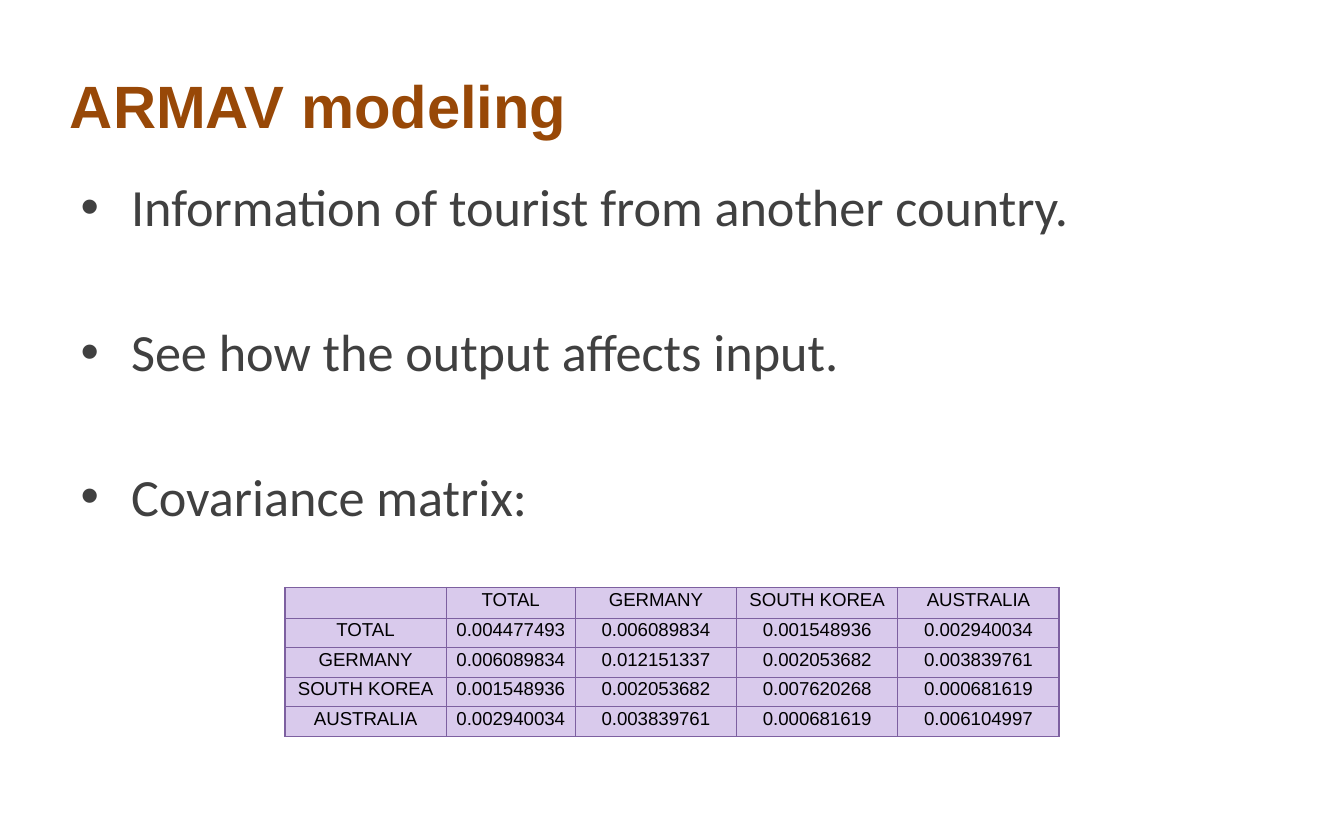
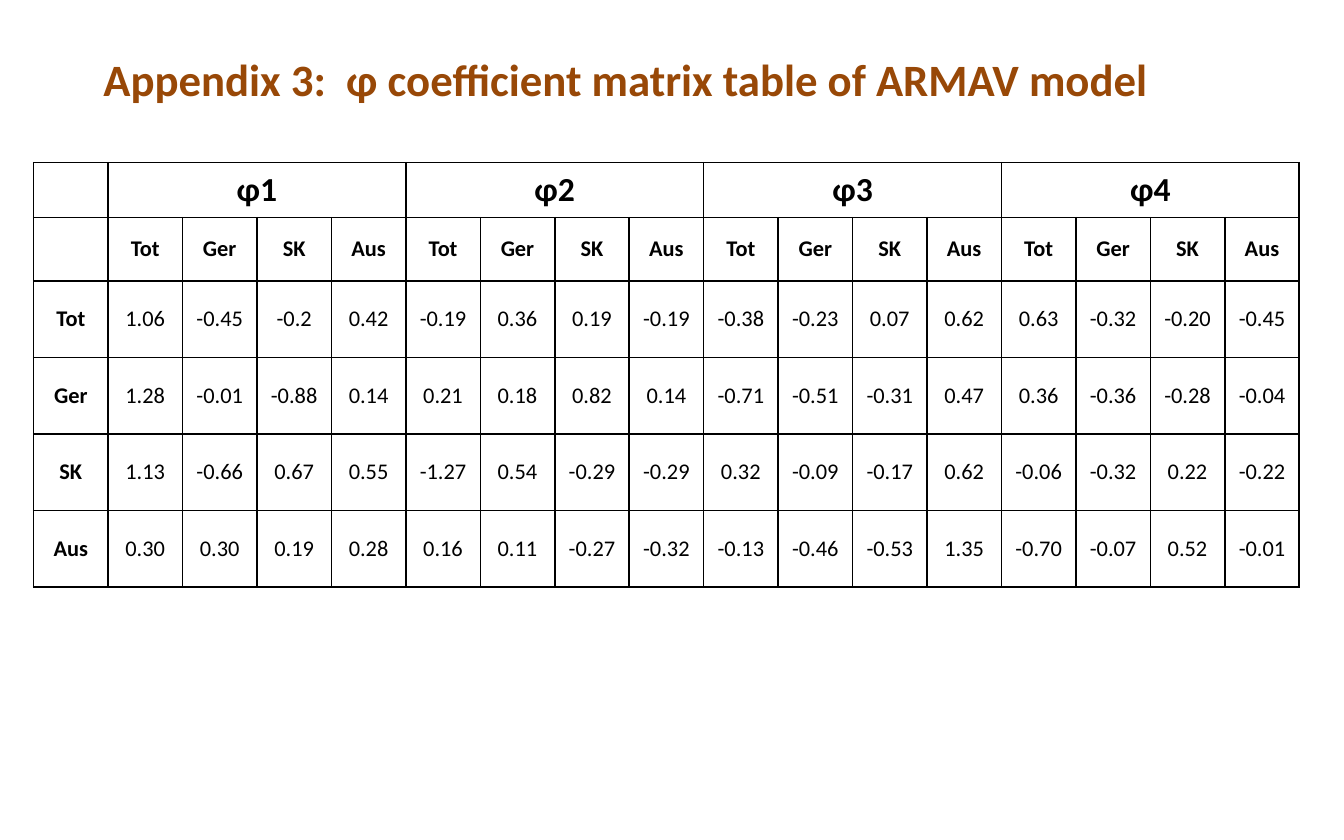
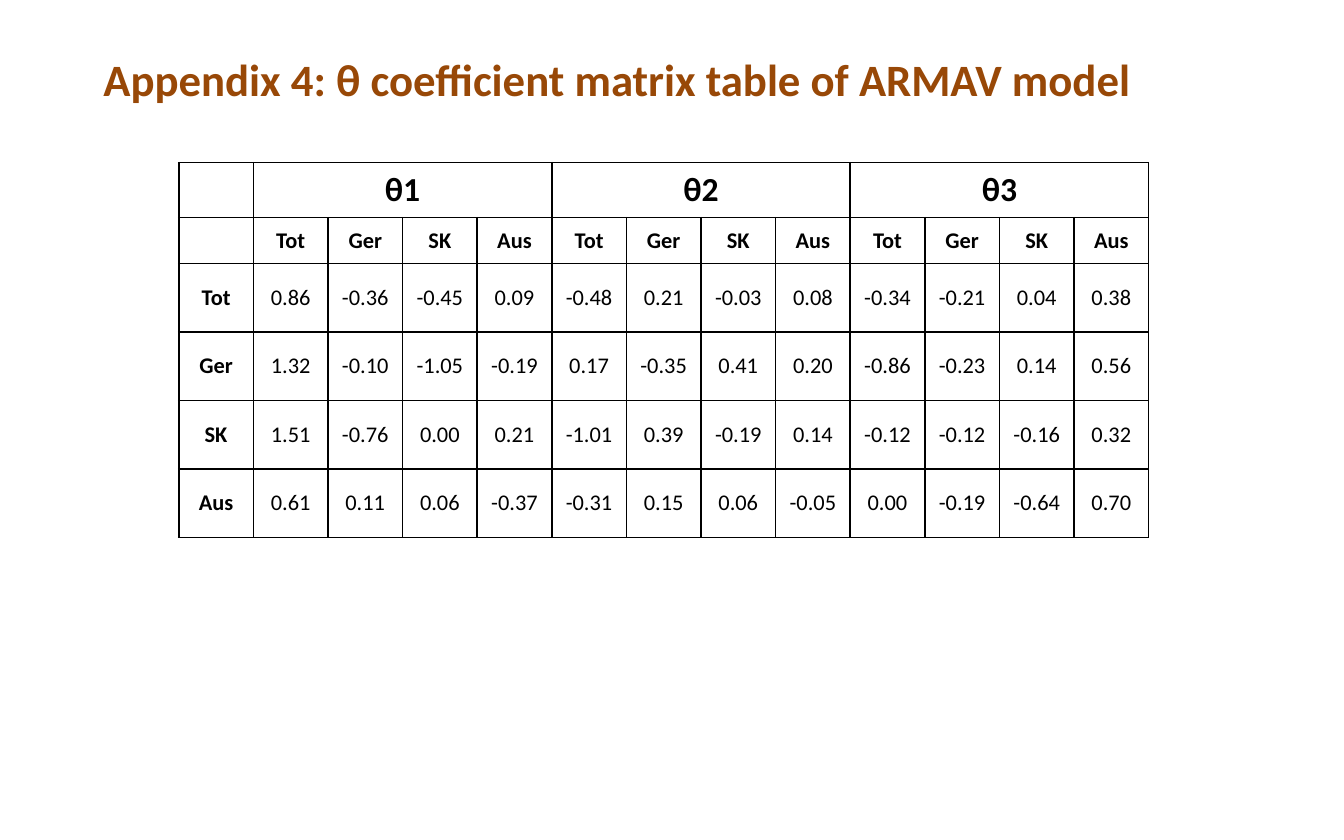
from lxml import etree
from pptx import Presentation
from pptx.dml.color import RGBColor
from pptx.enum.text import MSO_ANCHOR, MSO_AUTO_SIZE, PP_ALIGN
from pptx.oxml.ns import qn
from pptx.util import Inches, Pt

MIDDLE = MSO_ANCHOR.MIDDLE
LEFT, CENTER = PP_ALIGN.LEFT, PP_ALIGN.CENTER
NO_FIT = MSO_AUTO_SIZE.NONE

BROWN = RGBColor(0x98, 0x48, 0x07)
GRAY = RGBColor(0x40, 0x40, 0x40)
BLACK = RGBColor(0, 0, 0)
WHITE = RGBColor(0xFF, 0xFF, 0xFF)
LILAC = RGBColor(0xD9, 0xCA, 0xEC)
PURPLE = RGBColor(0x7D, 0x60, 0xA0)

WIDTH, HEIGHT = 10, 6.25
LIST, TITLE = 1, 5  # layouts of the template

# Content
POINTS = [
    "Information of tourist from another country.",
    "See how the output affects input.",
    "Covariance matrix:",
]
LANDS = ["TOTAL", "GERMANY", "SOUTH KOREA", "AUSTRALIA"]
COVAR = [
    "0.004477493 0.006089834 0.001548936 0.002940034",
    "0.006089834 0.012151337 0.002053682 0.003839761",
    "0.001548936 0.002053682 0.007620268 0.000681619",
    "0.002940034 0.003839761 0.000681619 0.006104997",
]
SHORT = ["Tot", "Ger", "SK", "Aus"]
MODELS = [
    {
        "title": "Appendix 3:  φ coefficient matrix table of ARMAV model",
        "sign": "φ", "left": 0.25, "width": 9.42,
        "rows": [0.41, 0.47] + [0.57] * 4,
        "data": [
            "1.06 -0.45 -0.2 0.42 -0.19 0.36 0.19 -0.19 "
            "-0.38 -0.23 0.07 0.62 0.63 -0.32 -0.20 -0.45",
            "1.28 -0.01 -0.88 0.14 0.21 0.18 0.82 0.14 "
            "-0.71 -0.51 -0.31 0.47 0.36 -0.36 -0.28 -0.04",
            "1.13 -0.66 0.67 0.55 -1.27 0.54 -0.29 -0.29 "
            "0.32 -0.09 -0.17 0.62 -0.06 -0.32 0.22 -0.22",
            "0.30 0.30 0.19 0.28 0.16 0.11 -0.27 -0.32 "
            "-0.13 -0.46 -0.53 1.35 -0.70 -0.07 0.52 -0.01",
        ],
    },
    {
        "title": "Appendix 4: θ coefficient matrix table of ARMAV model",
        "sign": "θ", "left": 1.33, "width": 7.22,
        "rows": [0.41, 0.34] + [0.51] * 4,
        "data": [
            "0.86 -0.36 -0.45 0.09 -0.48 0.21 -0.03 0.08 -0.34 -0.21 0.04 0.38",
            "1.32 -0.10 -1.05 -0.19 0.17 -0.35 0.41 0.20 -0.86 -0.23 0.14 0.56",
            "1.51 -0.76 0.00 0.21 -1.01 0.39 -0.19 0.14 -0.12 -0.12 -0.16 0.32",
            "0.61 0.11 0.06 -0.37 -0.31 0.15 0.06 -0.05 0.00 -0.19 -0.64 0.70",
        ],
    },
]


def place(shape, left, top, width, height):
    shape.left, shape.top = Inches(left), Inches(top)
    shape.width, shape.height = Inches(width), Inches(height)


def write(para, text, size, face, color, bold=False):
    run = para.add_run()
    run.text = text
    font = run.font
    font.size, font.name, font.bold = Pt(size), face, bold
    font.color.rgb = color


def start(deck, layout, title, box, size, face):
    """Add a slide with its title in place."""
    slide = deck.slides.add_slide(deck.slide_layouts[layout])
    head = slide.shapes.title
    place(head, *box)
    frame = head.text_frame
    frame.auto_size, frame.vertical_anchor = NO_FIT, MIDDLE
    para = frame.paragraphs[0]
    para.alignment = LEFT
    write(para, title, size, face, BROWN, True)
    return slide


def border(cell, color, width):
    props = cell._tc.get_or_add_tcPr()
    for spot, side in enumerate(("lnL", "lnR", "lnT", "lnB")):
        line = etree.Element(qn(f"a:{side}"), w=str(Pt(width)))
        fill = etree.SubElement(line, qn("a:solidFill"))
        etree.SubElement(fill, qn("a:srgbClr"), val=str(color))
        props.insert(spot, line)


def add_grid(slide, left, top, cols, rows):
    """Add a plain table with the given column widths and row heights."""
    frame = slide.shapes.add_table(
        len(rows), len(cols), Inches(left), Inches(top),
        Inches(sum(cols)), Inches(sum(rows)))
    table = frame.table
    table.first_row = table.horz_banding = False
    for col, width in zip(table.columns, cols):
        col.width = Inches(width)
    for row, height in zip(table.rows, rows):
        row.height = Inches(height)
    return table


def fill_cell(cell, text, size, face, bold, back, edge, weight):
    cell.fill.solid()
    cell.fill.fore_color.rgb = back
    border(cell, edge, weight)
    cell.vertical_anchor = MIDDLE
    para = cell.text_frame.paragraphs[0]
    para.alignment = CENTER
    if text:
        write(para, text, size, face, BLACK, bold)
    else:  # keeps an empty cell from stretching its row
        etree.SubElement(para._p, qn("a:endParaRPr"), sz=str(size * 100))


def add_intro(deck):
    slide = start(deck, LIST, "ARMAV modeling", (0.42, 0.38, 9, 0.79), 32, "Arial")
    body = slide.placeholders[1]
    place(body, 0.5, 1.25, 9, 4.03)
    frame = body.text_frame
    frame.auto_size = NO_FIT
    for num, point in enumerate(POINTS):
        para = frame.add_paragraph() if num else frame.paragraphs[0]
        if num:
            para.space_before = Pt(44)
        write(para, point, 28, "Calibri", GRAY)

    # Covariance matrix
    cells = [[""] + LANDS] + [[land] + line.split() for land, line in zip(LANDS, COVAR)]
    table = add_grid(slide, 2.12, 4.37, [1.2, 0.96, 1.2, 1.2, 1.2], [0.23] + [0.22] * 4)
    for r, line in enumerate(cells):
        for c, text in enumerate(line):
            cell = table.cell(r, c)
            cell.margin_left = cell.margin_right = cell.margin_top = Inches(0.01)
            cell.margin_bottom = Inches(0.05)
            fill_cell(cell, text, 10, "Arial", False, LILAC, PURPLE, 0.75)


def add_model(deck, model):
    slide = start(deck, TITLE, model["title"], (0.67, 0.26, 9, 0.65), 24, "Calibri")
    data = [line.split() for line in model["data"]]
    count, step = len(data[0]), len(SHORT)
    lags = count // step

    # One group of columns for each lag
    heads = [""]
    for lag in range(1, lags + 1):
        heads += [f"{model['sign']}{lag}"] + [""] * (step - 1)
    cells = [heads, [""] + SHORT * lags]
    cells += [[name] + line for name, line in zip(SHORT, data)]

    cols = [model["width"] / (count + 1)] * (count + 1)
    table = add_grid(slide, model["left"], 1.21, cols, model["rows"])
    for r, line in enumerate(cells):
        for c, text in enumerate(line):
            fill_cell(table.cell(r, c), text, 12 if r else 18, "Calibri",
                      r < 2 or c == 0, WHITE, BLACK, 1)
    for c in range(1, count, step):
        table.cell(0, c).merge(table.cell(0, c + step - 1))


def main():
    deck = Presentation()
    deck.slide_width, deck.slide_height = Inches(WIDTH), Inches(HEIGHT)
    add_intro(deck)
    for model in MODELS:
        add_model(deck, model)
    deck.save("out.pptx")


if __name__ == "__main__":
    main()
